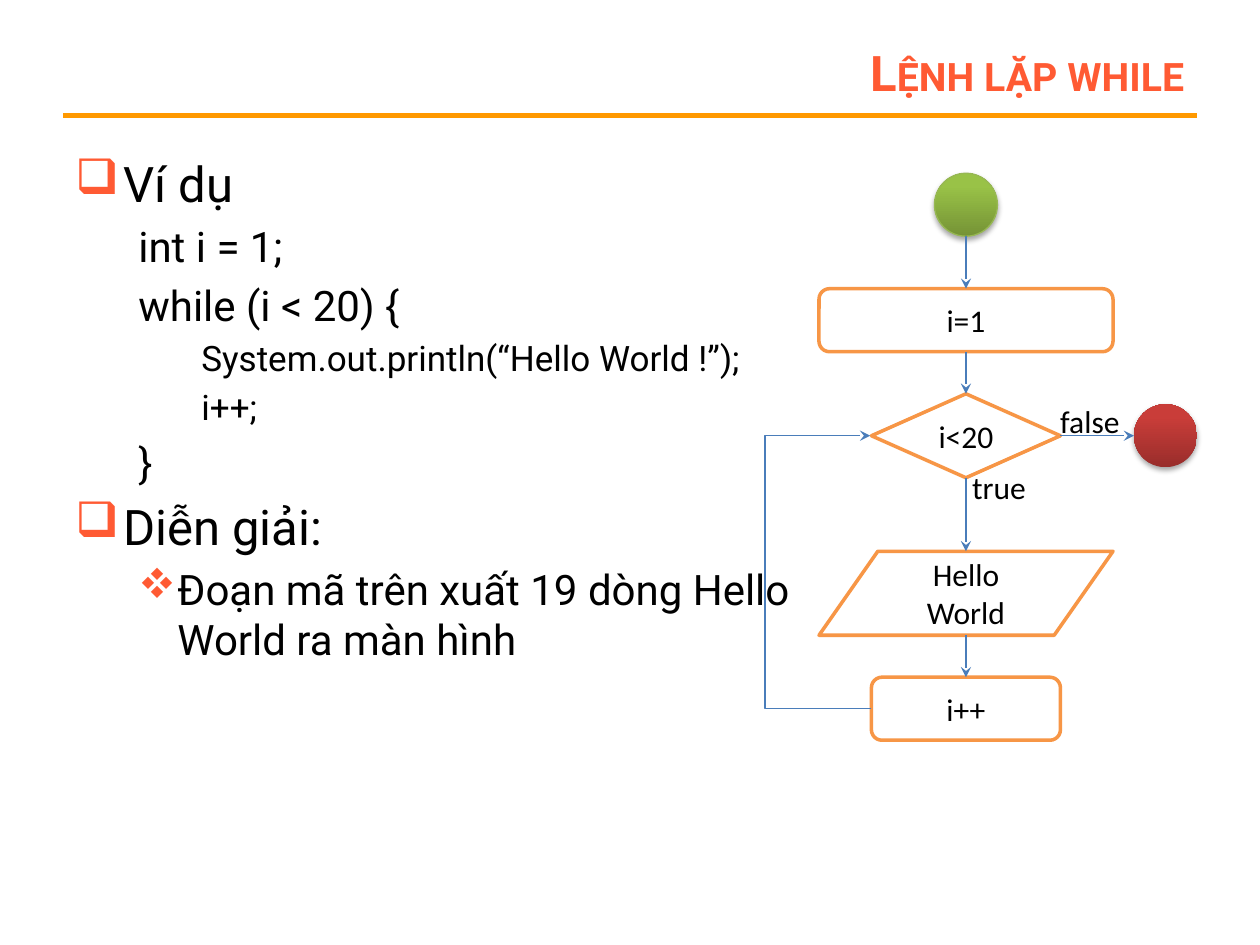
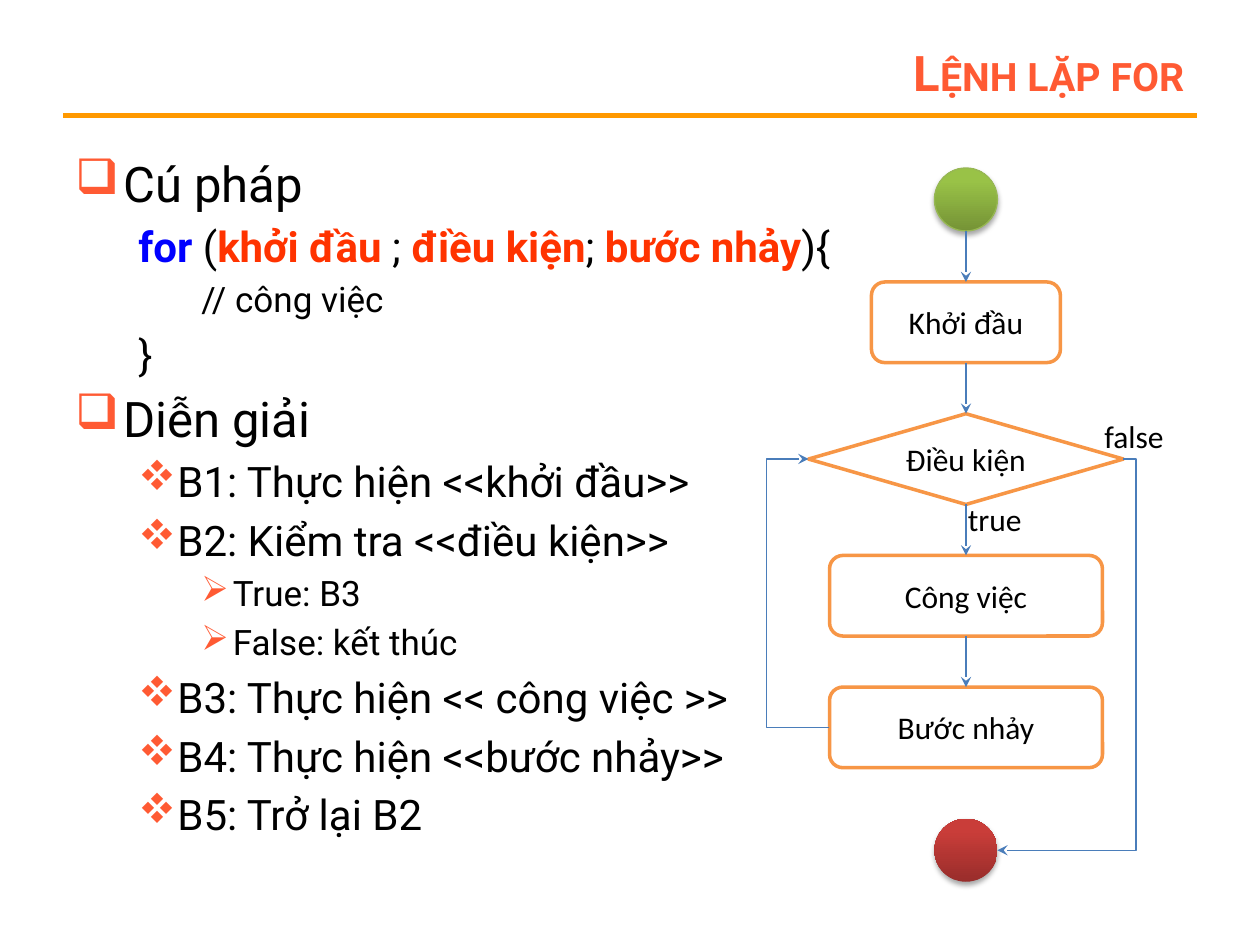
from lxml import etree
from pptx import Presentation
from pptx import util as u
from pptx.dml.color import RGBColor
from pptx.enum import shapes, text
from pptx.oxml import ns

BLACK = RGBColor(0x00, 0x00, 0x00)
WHITE = RGBColor(0xFF, 0xFF, 0xFF)
CORAL = RGBColor(0xFF, 0x5A, 0x33)
AMBER = RGBColor(0xFF, 0x99, 0x00)
ORANGE = RGBColor(0xF7, 0x96, 0x46)
STEEL = RGBColor(0x4A, 0x7D, 0xBA)
BLUE = RGBColor(0x00, 0x00, 0xFF)
RED = RGBColor(0xFF, 0x33, 0x00)
GREEN_EDGE = RGBColor(0x97, 0xB8, 0x53)
GREEN = (RGBColor(0x75, 0x93, 0x36), RGBColor(0x99, 0xC2, 0x47))
CRIMSON = (RGBColor(0x99, 0x2D, 0x2B), RGBColor(0xC9, 0x3D, 0x39))

COLUMNS, ROWS = 120, 90
CENTRE = 92
DOT = 6
TOP, LEFT, BOTTOM, RIGHT = range(4)
KINDS = shapes.MSO_SHAPE
SITES = {KINDS.OVAL: (0, 2, 4, 6), KINDS.FLOWCHART_DATA: (1, 2, 4, 5)}

SQUARE, DIAMONDS, ARROWHEAD = "q", "v", "Ø"
LEVELS = {
    "head": (0, 28, 5.6, 0.38, -0.38, SQUARE),
    "code": (1, 24, 4.8, 0.5, 0, None),
    "inner": (2, 20, 4, 1, 0, None),
    "point": (1, 24, 4.8, 0.81, -0.31, DIAMONDS),
    "case": (2, 20, 4, 1.25, -0.25, ARROWHEAD),
}

WHILE_LINES = [
    ("head", "Ví dụ"),
    ("code", "int i = 1;"),
    ("code", "while (i < 20) {"),
    ("inner", "System.out.println(“Hello World !”);"),
    ("inner", "i++;"),
    ("code", "}"),
    ("head", "Diễn giải:"),
    ("point", "Đoạn mã trên xuất 19 dòng Hello World ra màn hình"),
]
FOR_LINES = [
    ("head", "Cú pháp"),
    ("code", [("for", BLUE), (" (", BLACK), ("khởi đầu ", RED), ("; ", BLACK),
              ("điều kiện", RED), ("; ", BLACK), ("bước nhảy", RED), ("){", BLACK)]),
    ("inner", "// công việc"),
    ("code", "}"),
    ("head", "Diễn giải"),
    ("point", "B1: Thực hiện <<khởi đầu>>"),
    ("point", "B2: Kiểm tra <<điều kiện>>"),
    ("case", "True: B3"),
    ("case", "False: kết thúc"),
    ("point", "B3: Thực hiện << công việc >>"),
    ("point", "B4: Thực hiện <<bước nhảy>>"),
    ("point", "B5: Trở lại B2"),
]


def add_xml(parent, tag, **attributes):
    """Append one DrawingML element to its parent."""
    values = {name: str(value) for name, value in attributes.items()}
    return etree.SubElement(parent, ns.qn("a:" + tag), values)


class LessonDeck:
    """Lesson style and current slide, measured on a grid of 120 by 90."""

    def __init__(self):
        """Open an empty deck of 10 by 7.5 inches."""
        self.deck = Presentation()
        self.deck.slide_width = u.Inches(10)
        self.deck.slide_height = u.Inches(7.5)
        self.page = None

    def x(self, columns):
        """Turn columns into a length."""
        return round(self.deck.slide_width * columns / COLUMNS)

    def y(self, rows):
        """Turn rows into a length."""
        return round(self.deck.slide_height * rows / ROWS)

    def frame(self, left, top, width, height):
        """Turn a grid area into four lengths."""
        return self.x(left), self.y(top), self.x(width), self.y(height)

    def style(self, span, name, size, colour, bold=False):
        """Format one run."""
        span.font.name = name
        span.font.size = u.Pt(size)
        span.font.bold = bold
        span.font.color.rgb = colour

    def line(self, connector, colour, width):
        """Colour a connector and remove its shadow."""
        connector.line.color.rgb = colour
        connector.line.width = u.Pt(width)
        add_xml(connector._element.spPr, "effectLst")

    def add_page(self, title):
        """Start a slide with its title and rule."""
        self.page = self.deck.slides.add_slide(self.deck.slide_layouts[5])
        rule = self.page.shapes.add_connector(
            shapes.MSO_CONNECTOR.STRAIGHT, self.x(6), self.y(11), self.x(114), self.y(11))
        self.line(rule, AMBER, 3)
        box = self.page.shapes.title
        box.left, box.top, box.width, box.height = self.frame(27, 3.65, 87, 6.4)
        box.text_frame.text = title
        box.text_frame.auto_size = text.MSO_AUTO_SIZE.NONE
        box.text_frame.vertical_anchor = text.MSO_ANCHOR.MIDDLE
        para = box.text_frame.paragraphs[0]
        para.alignment = text.PP_ALIGN.RIGHT
        span = para.runs[0]
        self.style(span, "Roboto", 28, CORAL, True)
        span.font._element.set("cap", "small")

    def add_body(self, lines, width):
        """Write the outline on the left."""
        box = self.page.shapes.add_textbox(*self.frame(6, 14, width, 69))
        box.text_frame.word_wrap = True
        for index, (kind, content) in enumerate(lines):
            para = box.text_frame.paragraphs[0] if index == 0 else box.text_frame.add_paragraph()
            self.fill_line(para, kind, content, index > 0)

    def fill_line(self, para, kind, content, spaced):
        """Write one outline paragraph with its indent and bullet."""
        level, size, gap, margin, indent, bullet = LEVELS[kind]
        para.level = level
        para.space_before = u.Pt(gap if spaced else 0)
        properties = para._p.get_or_add_pPr()
        properties.set("marL", str(u.Inches(margin)))
        properties.set("indent", str(u.Inches(indent)))
        if bullet:
            add_xml(add_xml(properties, "buClr"), "srgbClr", val=CORAL)
            add_xml(properties, "buFont", typeface="Wingdings", pitchFamily=2, charset=2)
            add_xml(properties, "buChar", char=bullet)
        spans = [(content, BLACK)] if isinstance(content, str) else content
        for words, colour in spans:
            span = para.add_run()
            span.text = words
            self.style(span, "Roboto", size, colour, colour != BLACK)

    def add_step(self, kind, words, top, width, height, inset=0.1):
        """Draw a flowchart step on the centre line."""
        box = self.page.shapes.add_shape(
            kind, *self.frame(CENTRE - width / 2, top, width, height))
        box.shadow.inherit = False
        box.fill.solid()
        box.fill.fore_color.rgb = WHITE
        box.line.color.rgb = ORANGE
        box.line.width = u.Pt(2)
        box.text_frame.word_wrap = True
        box.text_frame.margin_left = box.text_frame.margin_right = u.Inches(inset)
        box.text_frame.text = words
        para = box.text_frame.paragraphs[0]
        para.alignment = text.PP_ALIGN.CENTER
        self.style(para.runs[0], "Calibri", 18, BLACK)
        return box

    def add_dot(self, colours, top, centre=CENTRE, edge=None):
        """Draw a shaded start or end dot."""
        dot = self.page.shapes.add_shape(
            KINDS.OVAL, *self.frame(centre - DOT / 2, top, DOT, DOT))
        dot.fill.gradient()
        dot.fill.gradient_angle = 90
        for stop, colour, position in zip(dot.fill.gradient_stops, colours, (0, 0.8)):
            stop.color.rgb = colour
            stop.position = position
        if edge:
            dot.line.color.rgb = edge
            dot.line.width = u.Pt(0.75)
        else:
            dot.line.fill.background()
        dot.shadow.inherit = False
        effects = dot._element.spPr.find(ns.qn("a:effectLst"))
        shadow = add_xml(effects, "outerShdw", blurRad=u.Pt(3.1), dist=u.Pt(1.8),
                         dir=5400000, rotWithShape=0)
        add_xml(add_xml(shadow, "srgbClr", val=BLACK), "alpha", val=35000)
        return dot

    def add_label(self, words, left, top, width):
        """Name a branch on one line."""
        box = self.page.shapes.add_textbox(*self.frame(left, top, width, 4.8))
        box.text_frame.word_wrap = False
        box.text_frame.auto_size = text.MSO_AUTO_SIZE.SHAPE_TO_FIT_TEXT
        box.text_frame.text = words
        self.style(box.text_frame.paragraphs[0].runs[0], "Calibri", 18, BLACK)

    def add_arrow(self, start, end, leave=BOTTOM, arrive=TOP, via=None):
        """Join two shapes, straight or by an elbow through a column."""
        kinds = shapes.MSO_CONNECTOR
        arrow = self.page.shapes.add_connector(
            kinds.STRAIGHT if via is None else kinds.ELBOW, 0, 0, 0, 0)
        arrow.begin_connect(start, leave)
        arrow.end_connect(end, arrive)
        for tag, shape, side in (("stCxn", start, leave), ("endCxn", end, arrive)):
            sites = SITES.get(shape.auto_shape_type, range(4))
            joint = next(arrow._element.iter(ns.qn("a:" + tag)))
            joint.set("idx", str(sites[side]))
        if via is not None:
            self.bend(arrow, via)
        self.line(arrow, STEEL, 0.75)
        add_xml(arrow.line._get_or_add_ln(), "tailEnd", type="stealth")

    def bend(self, arrow, via):
        """Place the middle part of an elbow on a column."""
        nudge = u.Inches(0.01)
        if abs(arrow.end_x - arrow.begin_x) < nudge:
            arrow.end_x = arrow.begin_x - nudge
        share = (self.x(via) - arrow.begin_x) / (arrow.end_x - arrow.begin_x)
        guides = next(arrow._element.iter(ns.qn("a:avLst")), None)
        if guides is None:
            guides = add_xml(next(arrow._element.iter(ns.qn("a:prstGeom"))), "avLst")
        add_xml(guides, "gd", name="adj1", fmla=f"val {round(share * 100000)}")

    def add_chain(self, steps):
        """Join successive steps from top to bottom."""
        for upper, lower in zip(steps, steps[1:]):
            self.add_arrow(upper, lower)


def build_while(lesson):
    """Build the slide on the while loop."""
    lesson.add_page("Lệnh lặp while")
    lesson.add_body(WHILE_LINES, 71)
    start = lesson.add_dot(GREEN, 16.5, edge=GREEN_EDGE)
    finish = lesson.add_dot(CRIMSON, 38.5, centre=111)
    first = lesson.add_step(KINDS.ROUNDED_RECTANGLE, "i=1", 27.5, 28, 6)
    test = lesson.add_step(KINDS.FLOWCHART_DECISION, "i<20", 37.5, 18, 8)
    output = lesson.add_step(KINDS.FLOWCHART_DATA, "Hello World", 52.5, 28, 8, inset=0.15)
    advance = lesson.add_step(KINDS.ROUNDED_RECTANGLE, "i++", 64.5, 18, 6)
    lesson.add_chain([start, first, test, output, advance])
    lesson.add_arrow(advance, test, LEFT, LEFT, via=72.7)
    lesson.add_arrow(test, finish, RIGHT, LEFT)
    lesson.add_label("true", 91.4, 44, 7.6)
    lesson.add_label("false", 99.8, 37.7, 8.2)


def build_for(lesson):
    """Build the slide on the for loop."""
    lesson.add_page("Lệnh lặp for")
    lesson.add_body(FOR_LINES, 108)
    top, gap = 16, 4.86
    start = lesson.add_dot(GREEN, top, edge=GREEN_EDGE)
    top += DOT + gap
    steps = []
    for kind, words, width, height in (
            (KINDS.ROUNDED_RECTANGLE, "Khởi đầu", 18, 7.68),
            (KINDS.FLOWCHART_DECISION, "Điều kiện", 30, 8.64),
            (KINDS.ROUNDED_RECTANGLE, "Công việc", 26, 7.68),
            (KINDS.ROUNDED_RECTANGLE, "Bước nhảy", 26, 7.68)):
        steps.append(lesson.add_step(kind, words, top, width, height))
        top += height + gap
    finish = lesson.add_dot(CRIMSON, top)
    lesson.add_chain([start, *steps])
    test, advance = steps[1], steps[3]
    lesson.add_arrow(advance, test, LEFT, LEFT, via=73)
    lesson.add_arrow(test, finish, RIGHT, RIGHT, via=108.2)
    lesson.add_label("true", 91, 47, 7.6)
    lesson.add_label("false", 104, 39.1, 8.2)


def main():
    """Build and save the lesson."""
    lesson = LessonDeck()
    build_while(lesson)
    build_for(lesson)
    lesson.deck.save("out.pptx")


if __name__ == "__main__":
    main()
